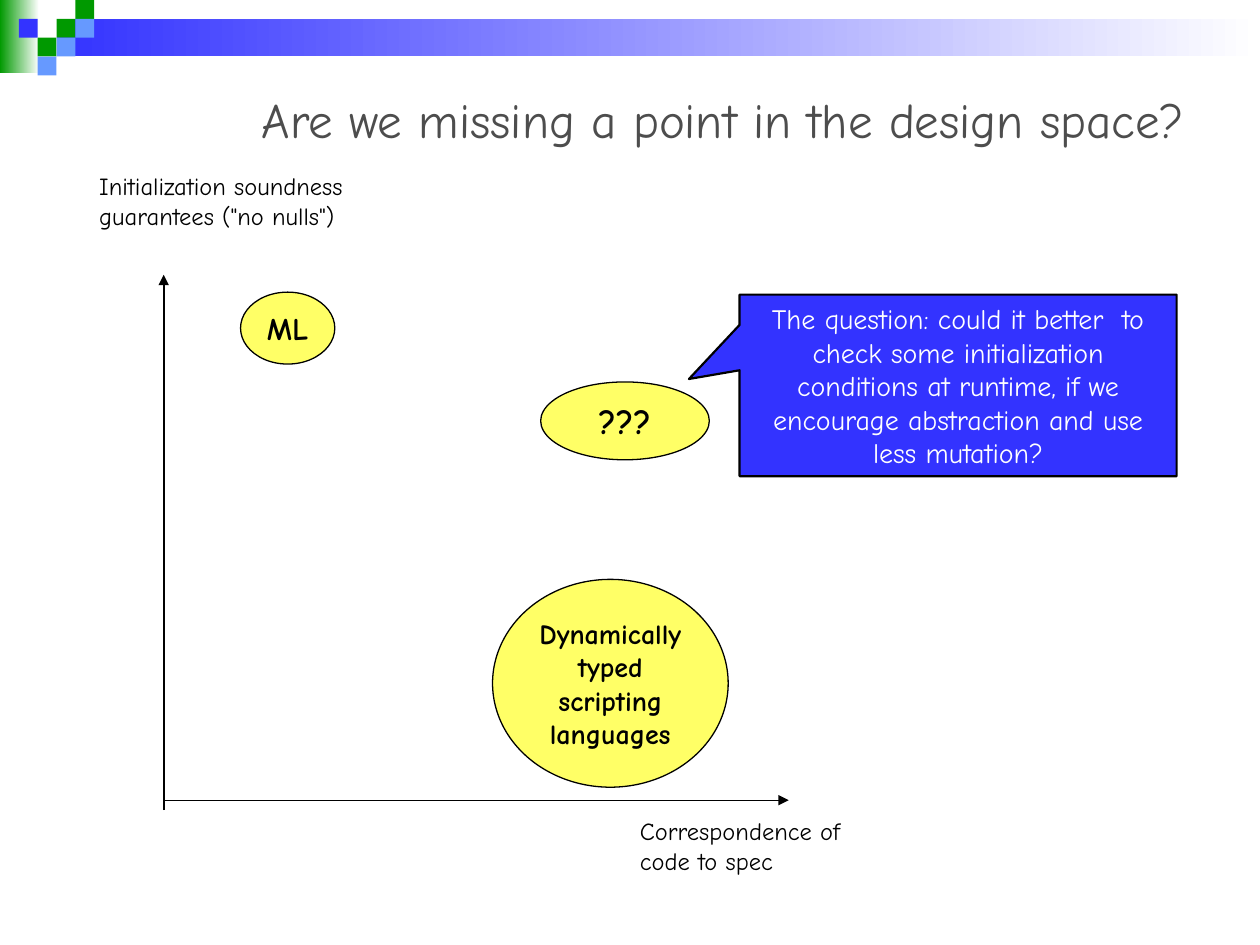
"""Build a slide that places languages by initialization soundness and code-to-spec correspondence."""
import pptx
import pptx.util
import pptx.dml.color
import pptx.enum.shapes
import pptx.enum.text
import lxml.etree

Cm, Pt = pptx.util.Cm, pptx.util.Pt
SHAPE = pptx.enum.shapes.MSO_SHAPE
ALIGN = pptx.enum.text.PP_ALIGN
ANCHOR = pptx.enum.text.MSO_ANCHOR
FIT = pptx.enum.text.MSO_AUTO_SIZE
STRAIGHT = pptx.enum.shapes.MSO_CONNECTOR.STRAIGHT

THEME = {
    "font": "Comic Neue",
    "white": "FFFFFF", "black": "000000", "gray": "4D4D4D",
    "green": "009900", "blue": "3333FF", "sky": "6699FF", "yellow": "FFFF66",
    "title": 28, "question": 20, "large": 18, "body": 16, "label": 14,
    "thin": 0.75, "axis": 1, "thick": 1.25,
}

TITLE = "Are we missing a point in the design space?"
BANDS = [((0, 0, 0.79, 1.47), "green"), ((1.14, 0.38, 24.26, 0.76), "blue")]
TILE = 0.38
TILES = [(3, 1, "green"), (4, 0, "green"), (4, 1, "sky"), (2, 2, "green"),
         (1, 1, "blue"), (3, 2, "sky"), (2, 3, "sky")]
AXES = [((3.3, 16.13), (15.9, 16.13), "thin"), ((3.3, 16.33), (3.3, 5.54), "axis")]
LANGUAGES = [
    (["Dynamically", "typed", "scripting", "languages"], (9.93, 11.68, 4.75, 4.19), "body", False),
    (["ML"], (4.85, 5.89, 1.9, 1.45), "large", False),
    (["???"], (10.9, 7.7, 3.4, 1.57), "question", True),
]
LABELS = [
    (["Correspondence of", "code to spec"], (12.65, 16.33, 4.72, 1.45)),
    (["Initialization soundness", 'guarantees ("no nulls")'], (1.75, 3.33, 5.44, 1.45)),
]
QUESTION = ["The question: could it better  to check some initialization conditions "
            "at runtime, if we encourage abstraction and use less mutation?"]
QUESTION_BOX = (14.91, 5.94, 8.81, 3.66)
QUESTION_TIP = (-0.616, -0.035)


def rgb(name):
    return pptx.dml.color.RGBColor.from_string(THEME[name])


def lengths(values):
    return [Cm(v) for v in values]


def write(tf, lines, size, color, align, bold=False):
    for i, line in enumerate(lines):
        p = tf.paragraphs[0] if i == 0 else tf.add_paragraph()
        p.alignment = align
        r = p.add_run()
        r.text = line
        r.font.name = THEME["font"]
        r.font.size = Pt(THEME[size])
        r.font.bold = bold
        r.font.color.rgb = rgb(color)


def add_shape(s, kind, box, fill, line=None):
    sp = s.shapes.add_shape(kind, *lengths(box))
    sp.shadow.inherit = False
    sp.fill.solid()
    sp.fill.fore_color.rgb = rgb(fill)
    if line:
        sp.line.color.rgb = rgb("black")
        sp.line.width = Pt(THEME[line])
    else:
        sp.line.fill.background()
    return sp


def add_band(s, box, color):
    sp = add_shape(s, SHAPE.RECTANGLE, box, color)
    sp.fill.gradient()
    sp.fill.gradient_angle = 0
    for stop, name in zip(sp.fill.gradient_stops, (color, "white")):
        stop.color.rgb = rgb(name)


def add_axis(s, start, end, width):
    c = s.shapes.add_connector(STRAIGHT, *lengths(start + end))
    c.line.color.rgb = rgb("black")
    c.line.width = Pt(THEME[width])
    ns = pptx.oxml.ns.qn
    lxml.etree.SubElement(c.line._get_or_add_ln(), ns("a:tailEnd"), type="triangle")
    lxml.etree.SubElement(c._element.spPr, ns("a:effectLst"))


def fit(tf, wrap, anchor):
    tf.word_wrap = wrap
    tf.auto_size = FIT.SHAPE_TO_FIT_TEXT
    tf.vertical_anchor = anchor


def add_title(s):
    sp = s.shapes.title
    sp.left, sp.top, sp.width, sp.height = lengths((1.27, 1.27, 22.86, 2.26))
    sp.text_frame.vertical_anchor = ANCHOR.MIDDLE
    sp.text_frame.auto_size = FIT.NONE
    write(sp.text_frame, [TITLE], "title", "gray", ALIGN.RIGHT)


def main():
    prs = pptx.Presentation()
    prs.slide_width, prs.slide_height = Cm(25.4), Cm(19.05)
    s = prs.slides.add_slide(prs.slide_layouts[5])
    for box, color in BANDS:
        add_band(s, box, color)
    for col, row, color in TILES:
        add_shape(s, SHAPE.RECTANGLE, (col * TILE, row * TILE, TILE, TILE), color)
    add_title(s)
    for start, end, width in AXES:
        add_axis(s, start, end, width)
    for lines, box, size, wrap in LANGUAGES:
        sp = add_shape(s, SHAPE.OVAL, box, "yellow", "thin")
        fit(sp.text_frame, wrap, ANCHOR.MIDDLE)
        write(sp.text_frame, lines, size, "black", ALIGN.CENTER, True)
    for lines, box in LABELS:
        tf = s.shapes.add_textbox(*lengths(box)).text_frame
        fit(tf, False, ANCHOR.TOP)
        write(tf, lines, "label", "black", ALIGN.LEFT)
    sp = add_shape(s, SHAPE.RECTANGULAR_CALLOUT, QUESTION_BOX, "blue", "thick")
    sp.adjustments[0], sp.adjustments[1] = QUESTION_TIP
    fit(sp.text_frame, True, ANCHOR.MIDDLE)
    write(sp.text_frame, QUESTION, "body", "white", ALIGN.CENTER)
    prs.save("out.pptx")


if __name__ == "__main__":
    main()
